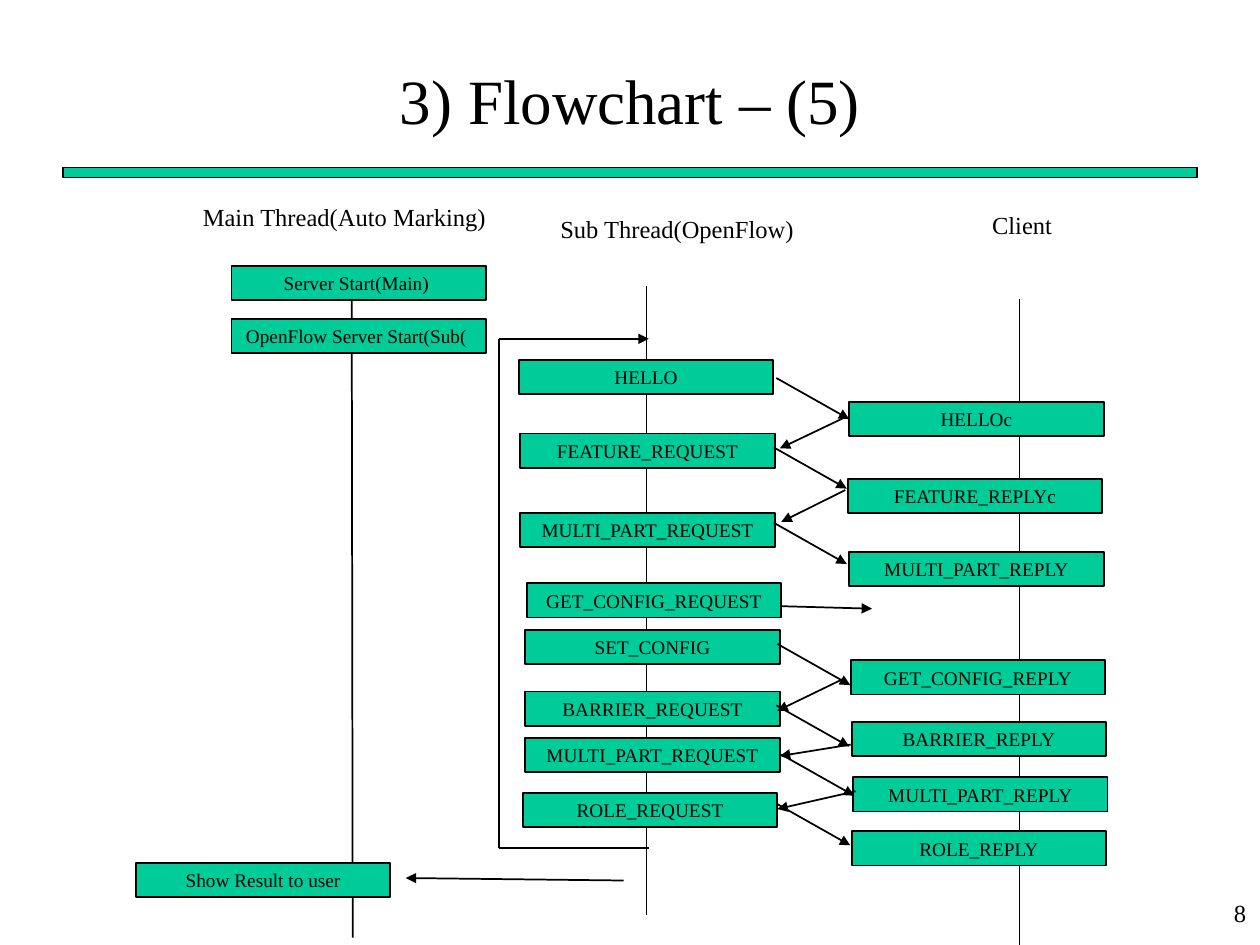
from dataclasses import dataclass

from lxml import etree
from pptx import Presentation
from pptx import util as u
from pptx.dml.color import RGBColor
from pptx.enum import shapes, text
from pptx.oxml.ns import qn


@dataclass
class Theme:
    font: str = "Times New Roman"
    ink: RGBColor = RGBColor(0, 0, 0)
    green: RGBColor = RGBColor(0x00, 0xCC, 0x99)
    title: int = 36
    label: int = 14
    step: int = 11


T = Theme()
STEP_W, STEP_H = 5.13, 0.69


def write(tf, words, size, align, anchor, wrap):
    tf.word_wrap = wrap
    tf.vertical_anchor = anchor
    p = tf.paragraphs[0]
    p.alignment = align
    r = p.add_run()
    r.text = words
    r.font.name, r.font.size = T.font, u.Pt(size)
    r.font.color.rgb = T.ink


def add_label(s, x, y, w, h, words, align=text.PP_ALIGN.CENTER, wrap=False):
    sp = s.shapes.add_textbox(u.Cm(x), u.Cm(y), u.Cm(w), u.Cm(h))
    write(sp.text_frame, words, T.label, align, text.MSO_ANCHOR.TOP, wrap)


def add_box(s, x, y, w, h, line=1):
    sp = s.shapes.add_shape(shapes.MSO_SHAPE.RECTANGLE, u.Cm(x), u.Cm(y), u.Cm(w), u.Cm(h))
    sp.shadow.inherit = False
    sp.fill.solid()
    sp.fill.fore_color.rgb = T.green
    sp.line.color.rgb, sp.line.width = T.ink, u.Pt(line)
    return sp


def add_line(s, x1, y1, x2, y2, arrow=False):
    c = s.shapes.add_connector(shapes.MSO_CONNECTOR.STRAIGHT,
                               u.Cm(x1), u.Cm(y1), u.Cm(x2), u.Cm(y2))
    c.line.color.rgb, c.line.width = T.ink, u.Pt(1)
    if arrow:
        etree.SubElement(c.line._get_or_add_ln(), qn("a:tailEnd"), type="triangle")
    etree.SubElement(c._element.spPr, qn("a:effectLst"))


def add_header(s, x, y, w, h):
    """Title above a thin green rule."""
    sp = s.shapes.title
    sp.left, sp.top, sp.width, sp.height = u.Cm(x), u.Cm(y), u.Cm(w), u.Cm(h)
    write(sp.text_frame, "3) Flowchart \u2013 (5)", T.title,
          text.PP_ALIGN.CENTER, text.MSO_ANCHOR.MIDDLE, True)
    add_box(s, x, y + 2.54, w, 0.2, line=0.75)


def add_lane(s, x, y, h, name, name_dx, name_w, life, steps):
    """Lane heading, lifeline (top dx, bottom dx, start dy) and its steps."""
    top_dx, bottom_dx, start = life
    add_line(s, x + top_dx, y + start, x + bottom_dx, y + h)
    add_label(s, x + name_dx, y, name_w, 0.86, name)
    for dx, dy, words in steps:
        sp = add_box(s, x + dx, y + dy, STEP_W, STEP_H)
        write(sp.text_frame, words, T.step,
              text.PP_ALIGN.CENTER, text.MSO_ANCHOR.MIDDLE, False)


def add_messages(s, x, y, requests, others):
    """Requests share one slope; the others give both ends."""
    slanted = [(dx, dy, dx + 1.47, dy + 0.83) for dx, dy in requests]
    for x1, y1, x2, y2 in slanted + others:
        add_line(s, x + x1, y + y1, x + x2, y + y2, arrow=True)


def add_loop(s, x, y, w, h):
    """Return path from the last step to the first."""
    add_line(s, x + w, y + h, x, y + h)
    add_line(s, x, y + h, x, y)
    add_line(s, x, y, x + w, y, arrow=True)


prs = Presentation()
prs.slide_width, prs.slide_height = u.Cm(25.4), u.Cm(19.05)
s = prs.slides.add_slide(prs.slide_layouts[5])

add_header(s, 1.27, 0.84, 22.86, 2.34)

# Three lanes
add_lane(s, 2.74, 3.94, 14.96, "Main Thread(Auto Marking)", 1.07, 6.27,
         (4.35, 4.37, 1.83), [
             (1.93, 1.42, "Server Start(Main) "),
             (1.93, 2.49, "OpenFlow Server Start(Sub( "),
             (0, 13.46, "Show Result to user"),
         ])
add_lane(s, 10.46, 4.19, 14.25, "Sub Thread(OpenFlow)", 0.56, 5.26,
         (2.57, 2.57, 1.58), [
             (0, 3.07, "HELLO"),
             (0.03, 4.55, "FEATURE_REQUEST"),
             (0.03, 6.15, "MULTI_PART_REQUEST"),
             (0.16, 7.57, "GET_CONFIG_REQUEST"),
             (0.13, 8.51, "SET_CONFIG"),
             (0.13, 9.75, "BARRIER_REQUEST"),
             (0.13, 10.69, "MULTI_PART_REQUEST"),
             (0.08, 11.79, "ROLE_REQUEST"),
         ])
add_lane(s, 17.09, 4.11, 14.94, "Client", 2.65, 1.73,
         (3.46, 3.46, 1.91), [
             (0.03, 3.99, "HELLOc"),
             (0, 5.54, "FEATURE_REPLYc"),
             (0.03, 7.02, "MULTI_PART_REPLY"),
             (0.06, 9.2, "GET_CONFIG_REPLY"),
             (0.08, 10.44, "BARRIER_REPLY"),
             (0.11, 11.56, "MULTI_PART_REPLY"),
             (0.08, 12.65, "ROLE_REPLY"),
         ])

# Messages between sub thread and client
add_messages(
    s, 15.6, 7.62,
    [(0.05, 0), (0, 1.4), (0, 2.92), (0.07, 5.36), (0.05, 6.6), (0.15, 7.59), (0.07, 8.59)],
    [(1.44, 0.79, 0.12, 1.42), (1.44, 2.26, 0.15, 2.9), (0.15, 4.6, 1.98, 4.65),
     (1.39, 6.07, 0.07, 6.71), (1.55, 7.39, 0.12, 7.62), (1.65, 8.33, 0.07, 8.69)])

# Loop and result
add_loop(s, 10.06, 6.83, 3.02, 10.27)
add_line(s, 12.57, 17.75, 8.18, 17.7, arrow=True)

# Page number
add_label(s, 20.09, 17.98, 5.28, 1.07, "8", text.PP_ALIGN.RIGHT, True)

prs.save("out.pptx")
